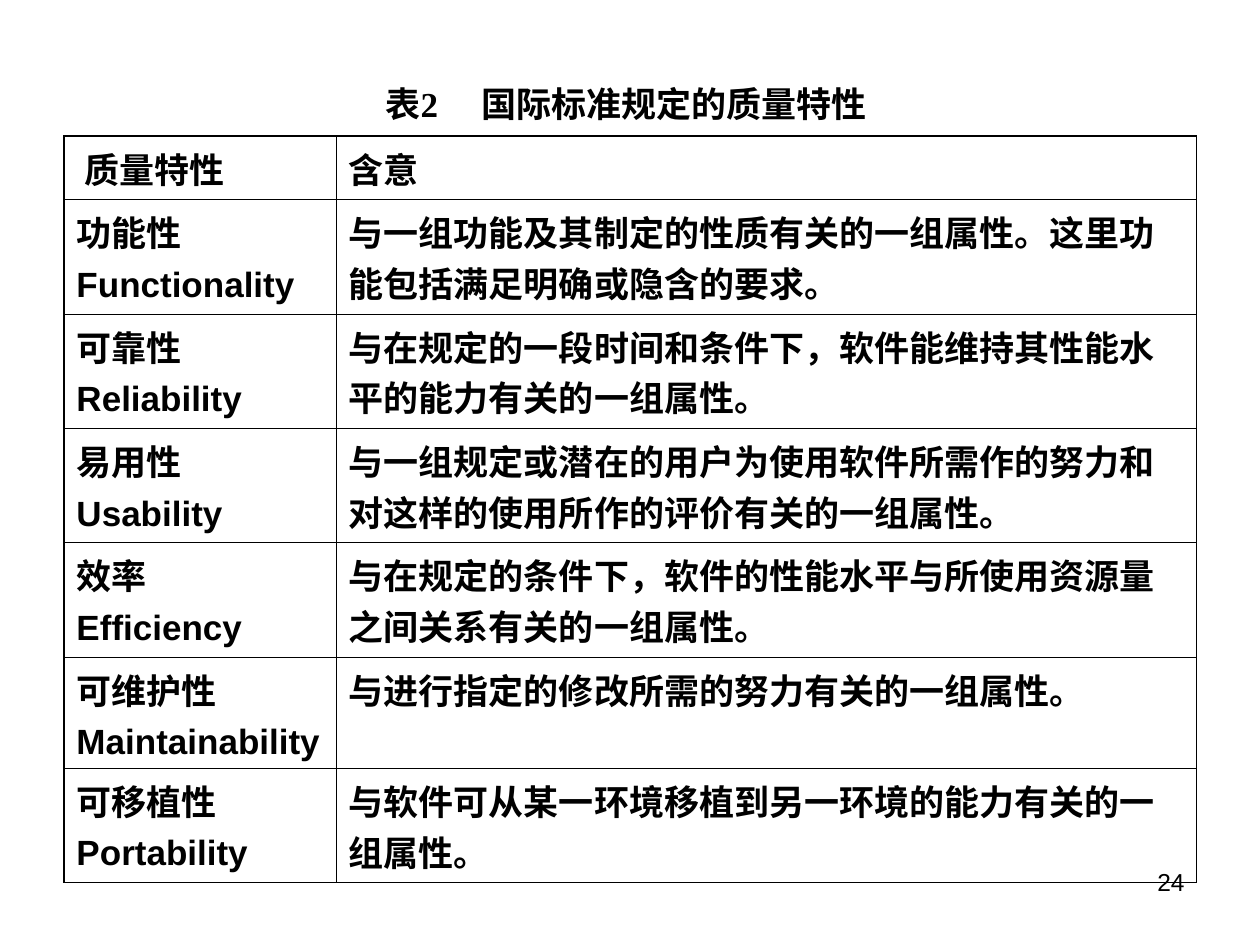
from typing import NamedTuple

from lxml import etree
from pptx import Presentation
from pptx import util as u
from pptx.dml.color import RGBColor
from pptx.enum import text
from pptx.oxml.ns import qn

BLACK = RGBColor(0x00, 0x00, 0x00)
THIN, THICK = u.Pt(0.45), u.Pt(1.08)
WIDTH, HEIGHT = u.Inches(10), u.Inches(7.5)
COLUMN_WIDTHS = (21.6, 68.3)
HEADER_HEIGHT, BODY_HEIGHT, SHORT_HEIGHT = 6.75, 12.1, 11.75


class Box(NamedTuple):
    """A place on the slide, in percent of its width and height."""
    left: float
    top: float
    width: float
    height: float


class Quality(NamedTuple):
    name: str
    english: str
    meaning: str
    height: float = BODY_HEIGHT


QUALITIES = (
    Quality("功能性", "Functionality",
            "与一组功能及其制定的性质有关的一组属性。这里功能包括满足明确或隐含的要求。"),
    Quality("可靠性", "Reliability",
            "与在规定的一段时间和条件下，软件能维持其性能水平的能力有关的一组属性。"),
    Quality("易用性", "Usability",
            "与一组规定或潜在的用户为使用软件所需作的努力和对这样的使用所作的评价有关的一组属性。"),
    Quality("效率", "Efficiency",
            "与在规定的条件下，软件的性能水平与所使用资源量之间关系有关的一组属性。"),
    Quality("可维护性", "Maintainability",
            "与进行指定的修改所需的努力有关的一组属性。", SHORT_HEIGHT),
    Quality("可移植性", "Portability",
            "与软件可从某一环境移植到另一环境的能力有关的一组属性。"),
)
ROW_HEIGHTS = (HEADER_HEIGHT, *(item.height for item in QUALITIES))

TITLE_BOX = Box(29.6, 8.1, 40.6, 5.87)
TABLE_BOX = Box(5.07, 14.4, sum(COLUMN_WIDTHS), sum(ROW_HEIGHTS))
NUMBER_BOX = Box(71.7, 91.07, 23.3, 6.93)


def across(percent: float) -> int:
    return round(WIDTH * percent / 100)


def down(percent: float) -> int:
    return round(HEIGHT * percent / 100)


def place(box: Box) -> tuple[int, int, int, int]:
    return across(box.left), down(box.top), across(box.width), down(box.height)


def format_paragraph(paragraph, size: float, name: str, bold: bool) -> None:
    font = paragraph.font
    font.size, font.name, font.bold = u.Pt(size), name, bold
    font.color.rgb = BLACK


def add_tab_stop(paragraph, position: int) -> None:
    tabs = etree.SubElement(paragraph._p.get_or_add_pPr(), qn("a:tabLst"))
    etree.SubElement(tabs, qn("a:tab"), pos=str(position), algn="l")


def add_title(slide, words: str) -> None:
    title = slide.shapes.title
    title.left, title.top, title.width, title.height = place(TITLE_BOX)
    frame = title.text_frame
    frame.text = words
    frame.word_wrap = False
    frame.auto_size = text.MSO_AUTO_SIZE.SHAPE_TO_FIT_TEXT
    frame.vertical_anchor = text.MSO_ANCHOR.TOP
    paragraph = frame.paragraphs[0]
    paragraph.alignment = text.PP_ALIGN.LEFT
    add_tab_stop(paragraph, u.Inches(0.76))
    format_paragraph(paragraph, 20, "Times New Roman", True)


def add_border(cell, side: str, width: int) -> None:
    line = etree.SubElement(cell._tc.get_or_add_tcPr(), qn(f"a:ln{side}"), w=str(width))
    fill = etree.SubElement(line, qn("a:solidFill"))
    etree.SubElement(fill, qn("a:srgbClr"), val=str(BLACK))


def fill_cell(cell, lines: tuple[str, ...], outer_sides: str) -> None:
    for side in "LRTB":
        add_border(cell, side, THICK if side in outer_sides else THIN)
    cell.fill.background()
    cell.text = "\n".join(lines)
    for index, paragraph in enumerate(cell.text_frame.paragraphs):
        if index:
            paragraph.space_before = u.Pt(5)
        format_paragraph(paragraph, 20, "Arial", True)


def add_quality_table(slide) -> None:
    rows = [(("质量特性",), ("含意",))]
    rows += [((item.name, item.english), (item.meaning,)) for item in QUALITIES]
    table = slide.shapes.add_table(len(rows), len(COLUMN_WIDTHS), *place(TABLE_BOX)).table
    table.first_row = table.horz_banding = False
    for column, width in zip(table.columns, COLUMN_WIDTHS):
        column.width = across(width)
    last = len(rows) - 1
    for row_index, (row, height) in enumerate(zip(rows, ROW_HEIGHTS)):
        table.rows[row_index].height = down(height)
        vertical = {0: "T", last: "B"}.get(row_index, "")
        for column_index, lines in enumerate(row):
            fill_cell(table.cell(row_index, column_index), lines,
                      "LR"[column_index] + vertical)
    header = table.cell(0, 0).text_frame.paragraphs[0]
    header._p.get_or_add_pPr().set("marL", str(u.Inches(0.06)))


def add_page_number(slide, number: str) -> None:
    frame = slide.shapes.add_textbox(*place(NUMBER_BOX)).text_frame
    frame.word_wrap = True
    frame.text = number
    paragraph = frame.paragraphs[0]
    paragraph.alignment = text.PP_ALIGN.RIGHT
    format_paragraph(paragraph, 14, "Arial", False)


def main() -> None:
    presentation = Presentation()
    presentation.slide_width, presentation.slide_height = WIDTH, HEIGHT
    slide = presentation.slides.add_slide(presentation.slide_layouts[5])
    add_title(slide, "表2\t国际标准规定的质量特性")
    add_quality_table(slide)
    add_page_number(slide, "24")
    presentation.save("out.pptx")


if __name__ == "__main__":
    main()
